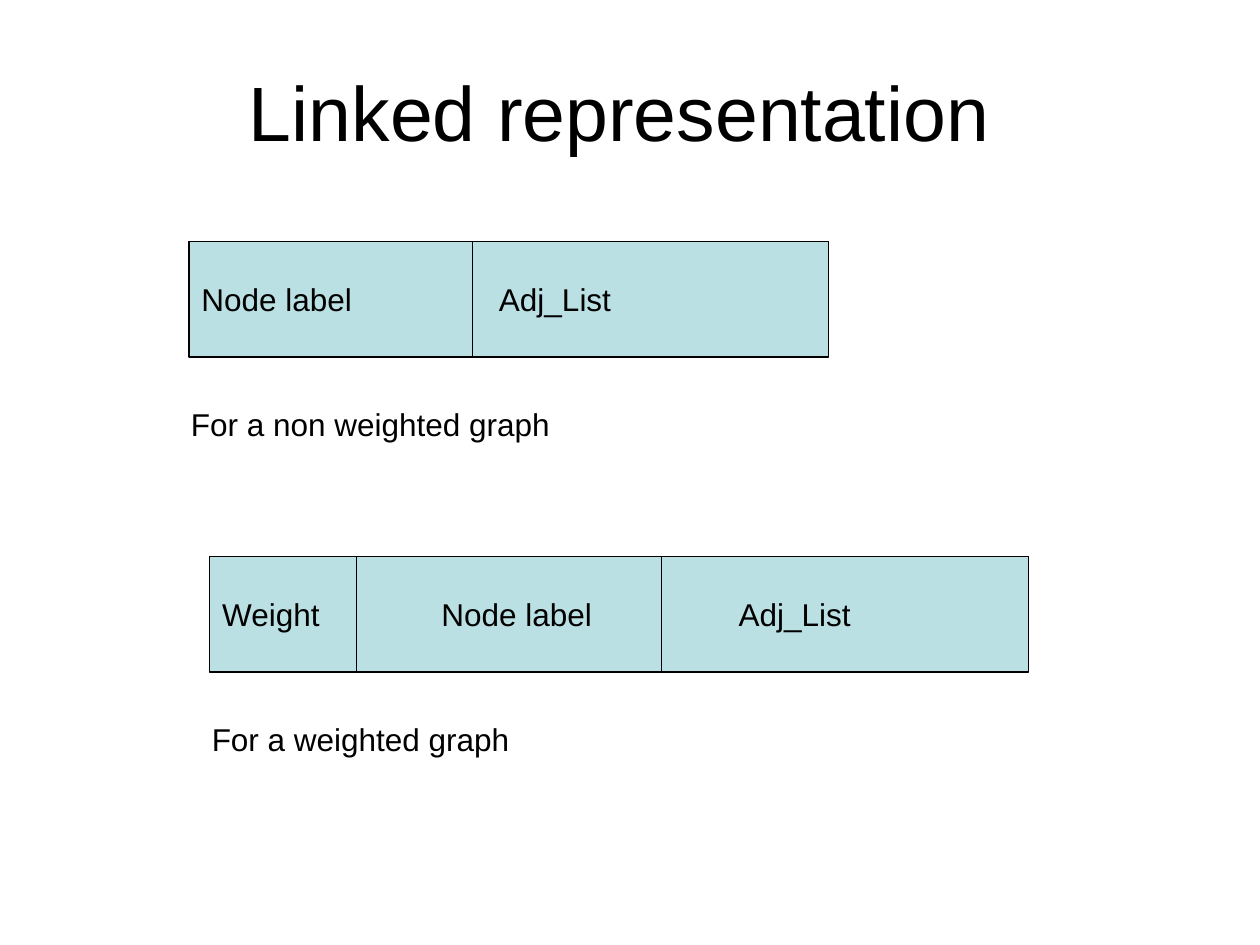
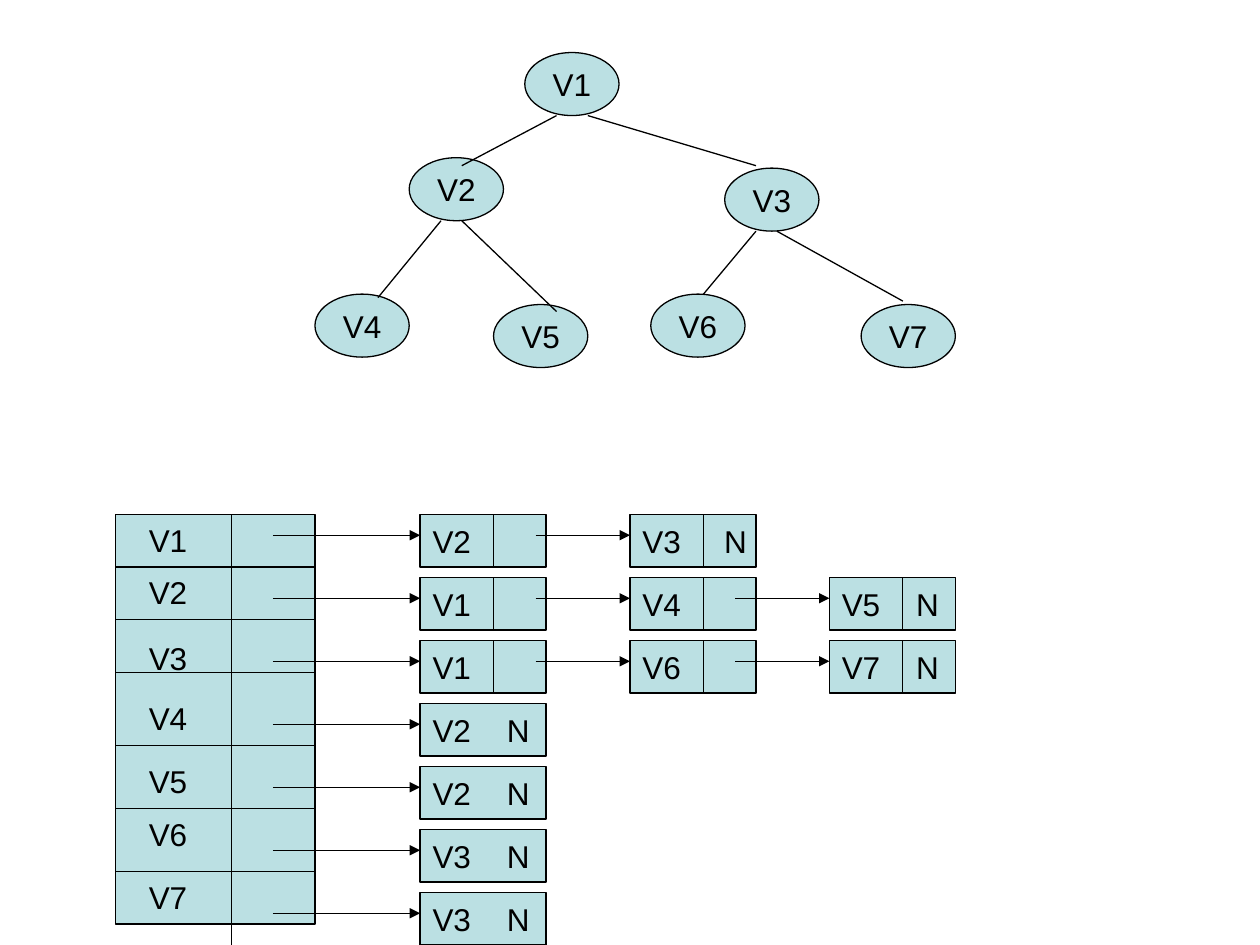
from lxml import etree
from pptx import Presentation
from pptx.dml.color import RGBColor
from pptx.enum.shapes import MSO_CONNECTOR, MSO_SHAPE
from pptx.enum.text import MSO_ANCHOR, PP_ALIGN
from pptx.oxml.ns import qn
from pptx.util import Cm, Pt

RECT, OVAL = MSO_SHAPE.RECTANGLE, MSO_SHAPE.OVAL
STRAIGHT = MSO_CONNECTOR.STRAIGHT
TOP, MIDDLE = MSO_ANCHOR.TOP, MSO_ANCHOR.MIDDLE
LEFT, CENTER = PP_ALIGN.LEFT, PP_ALIGN.CENTER

INK, FILL = "000000", "BBE0E3"
FONT = "Arial"
BODY_SIZE, TITLE_SIZE = 18, 44

NODE_WIDTH, NODE_HEIGHT = 1.9, 1.27
TREE_NODES = {
    "V1": (4.23, 0), "V2": (1.9, 2.12), "V3": (8.26, 2.33), "V4": (0, 4.87),
    "V5": (3.6, 5.08), "V6": (6.77, 4.87), "V7": (11.01, 5.08),
}
TREE_EDGES = [
    (4.87, 1.27, 2.96, 2.28), (5.5, 1.27, 8.89, 2.28),
    (2.54, 3.39, 1.27, 4.94), (2.96, 3.39, 4.87, 5.22),
    (8.89, 3.6, 7.83, 4.87), (9.31, 3.6, 11.85, 5.01),
]

INDEX_WIDTH, INDEX_HEIGHT = 4.02, 8.26
INDEX_RULES = [1.06, 2.12, 3.18, 4.66, 5.93, 7.2]
INDEX_LABEL_TOPS = [0, 1.06, 2.38, 3.6, 4.87, 5.93, 7.2]

CELL_WIDTH, CELL_HEIGHT, ROW_PITCH = 2.54, 1.06, 1.27
CELL_LEFTS = [6.14, 10.37, 14.39]
ARROW_STARTS = [3.17, 8.47, 12.49]
NIL_TAB = 1.5
ADJACENCY = [
    [("V2",), ("V3", "N")],
    [("V1",), ("V4",), ("V5", "N")],
    [("V1",), ("V6",), ("V7", "N")],
    [("V2", "N")],
    [("V2", "N")],
    [("V3", "N")],
    [("V3", "N")],
]


def color(value):
    return RGBColor.from_string(value)


def write(shape, texts, size=BODY_SIZE, align=LEFT, anchor=MIDDLE, tabs=()):
    frame = shape.text_frame
    frame.word_wrap = True
    frame.vertical_anchor = anchor
    frame.margin_right = frame.margin_left if align == CENTER else 0
    para = frame.paragraphs[0]
    para.alignment = align
    if tabs:
        stops = etree.SubElement(para._p.get_or_add_pPr(), qn("a:tabLst"))
        for tab in tabs:
            etree.SubElement(stops, qn("a:tab"), pos=str(Cm(tab)), algn="l")
    for order, text in enumerate(texts):
        span = para.add_run()
        span.text = "\t" + text if order else text
        span.font.name = FONT
        span.font.size = Pt(size)
        span.font.color.rgb = color(INK)


def add_label(page, left, top, width, height, text, **style):
    box = page.shapes.add_textbox(Cm(left), Cm(top), Cm(width), Cm(height))
    write(box, [text], **style)


def add_block(page, kind, left, top, width, height):
    block = page.shapes.add_shape(kind, Cm(left), Cm(top), Cm(width), Cm(height))
    block.shadow.inherit = False
    block.fill.solid()
    block.fill.fore_color.rgb = color(FILL)
    block.line.color.rgb = color(INK)
    block.line.width = Pt(0.75)
    return block


def add_line(page, x1, y1, x2, y2, arrow=False):
    line = page.shapes.add_connector(STRAIGHT, Cm(x1), Cm(y1), Cm(x2), Cm(y2))
    line.line.color.rgb = color(INK)
    line.line.width = Pt(0.75)
    if arrow:
        etree.SubElement(line.line._get_or_add_ln(), qn("a:tailEnd"), type="triangle")
    etree.SubElement(line._element.spPr, qn("a:effectLst"))


def add_record(page, left, top, width, fields, tabs, dividers, caption):
    height = 2.33
    block = add_block(page, RECT, left, top, width, height)
    write(block, fields, tabs=tabs)
    for divider in dividers:
        add_line(page, left + divider, top, left + divider, top + height)
    add_label(page, left - 0.21, top + 3.18, width + 1.2, 1.02, caption, anchor=TOP)


def add_tree(page, left, top):
    for name, (x, y) in TREE_NODES.items():
        node = add_block(page, OVAL, left + x, top + y, NODE_WIDTH, NODE_HEIGHT)
        write(node, [name], align=CENTER)
    for x1, y1, x2, y2 in TREE_EDGES:
        add_line(page, left + x1, top + y1, left + x2, top + y2)


def add_index(page, left, top):
    add_block(page, RECT, left, top, INDEX_WIDTH, INDEX_HEIGHT)
    for rule in INDEX_RULES:
        add_line(page, left, top + rule, left + INDEX_WIDTH, top + rule)
    add_line(page, left + 2.33, top, left + 2.33, top + 8.68)
    for name, offset in zip(TREE_NODES, INDEX_LABEL_TOPS):
        add_label(page, left + 0.42, top + offset, 1.48, 1.02, name, anchor=TOP)


def add_adjacency_lists(page, left, top):
    for row, cells in enumerate(ADJACENCY):
        y = top + row * ROW_PITCH
        for fields, offset, start in zip(cells, CELL_LEFTS, ARROW_STARTS):
            x = left + offset
            cell = add_block(page, RECT, x, y, CELL_WIDTH, CELL_HEIGHT)
            tab = NIL_TAB + 0.15 if row == 0 else NIL_TAB
            write(cell, fields, tabs=[tab] if len(fields) > 1 else ())
            if len(cells) > 1:
                add_line(page, x + 1.48, y, x + 1.48, y + CELL_HEIGHT)
            add_line(page, left + start, y + 0.42, x, y + 0.42, arrow=True)


def build_record_page(page):
    add_label(page, 1.06, 0.64, 22.86, 3.18, "Linked representation",
              size=TITLE_SIZE, align=CENTER)
    add_record(page, 3.81, 4.87, 12.9, ["Node label", "Adj_List"],
               [6], [5.72], "For a non weighted graph")
    add_record(page, 4.23, 11.22, 16.51, ["Weight", "Node label", "Adj_List"],
               [4.42, 10.41], [2.96, 9.1], "For a weighted graph")


def build_graph_page(page):
    add_tree(page, 6.35, 1.06)
    add_index(page, 2.33, 10.37)
    add_adjacency_lists(page, 2.33, 10.37)


def main():
    deck = Presentation()
    deck.slide_width, deck.slide_height = Cm(25.4), Cm(19.05)
    for build in (build_record_page, build_graph_page):
        build(deck.slides.add_slide(deck.slide_layouts[6]))
    deck.save("out.pptx")


if __name__ == "__main__":
    main()
